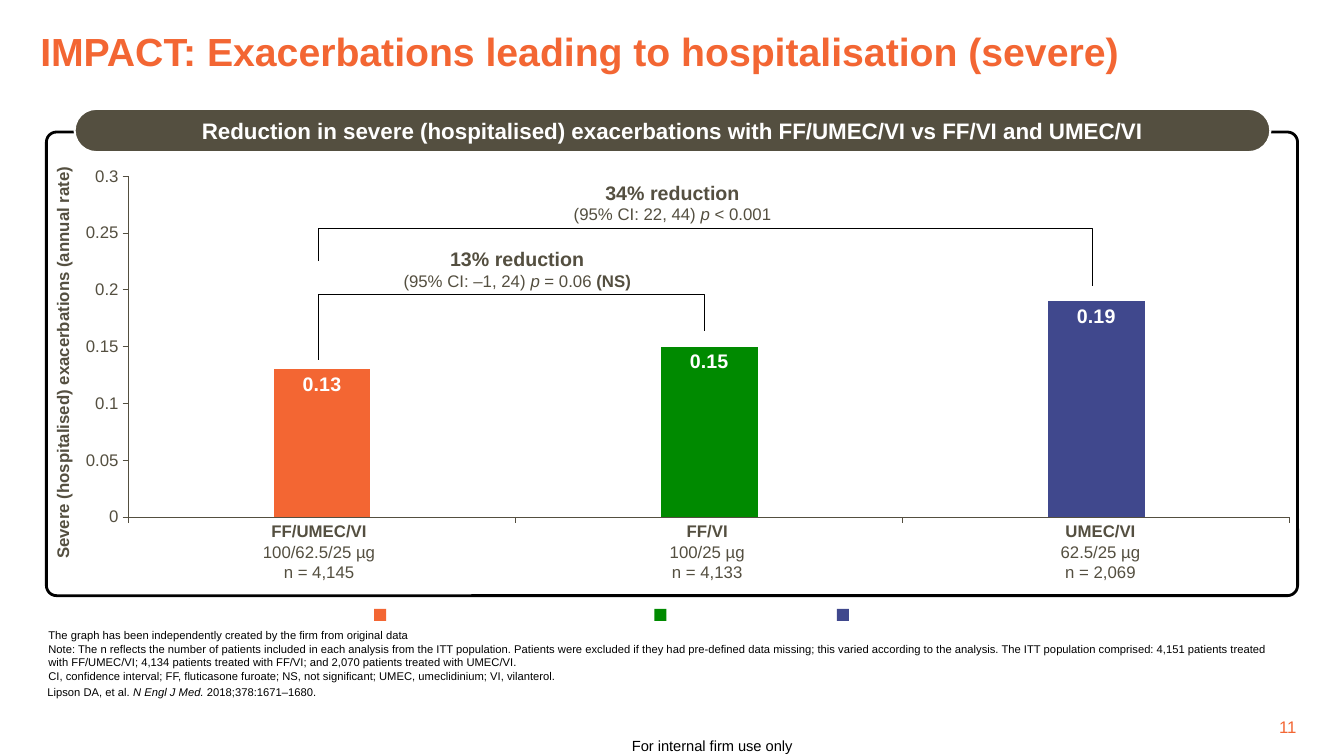
from dataclasses import dataclass

from lxml import etree
from pptx import Presentation
from pptx.chart.data import CategoryChartData
from pptx.dml.color import RGBColor as RGB
from pptx.enum.chart import XL_CHART_TYPE as ChartType
from pptx.enum.chart import XL_LABEL_POSITION as LabelPos
from pptx.enum.chart import XL_TICK_LABEL_POSITION as TickLabels
from pptx.enum.chart import XL_TICK_MARK as Tick
from pptx.enum.shapes import MSO_SHAPE as Shape
from pptx.enum.text import MSO_ANCHOR as Anchor
from pptx.enum.text import PP_ALIGN as Align
from pptx.oxml.ns import qn
from pptx.util import Inches, Pt


@dataclass(frozen=True)
class Theme:
    font: str = "Arial"
    orange: RGB = RGB(0xF3, 0x66, 0x33)
    green: RGB = RGB(0x00, 0x8A, 0x00)
    blue: RGB = RGB(0x40, 0x48, 0x8D)
    brown: RGB = RGB(0x54, 0x4F, 0x40)
    black: RGB = RGB(0, 0, 0)
    white: RGB = RGB(255, 255, 255)
    title: float = 28
    banner: float = 16
    strong: float = 14
    body: float = 12
    footer: float = 10.5
    note: float = 8


T = Theme()

# Treatment arms: name, dose, patients, rate, colour, label box, legend left
ARMS = [
    ("FF/UMEC/VI", "100/62.5/25 µg", "n = 4,145", 0.13, T.orange, (2.4, 1.53), 3.71),
    ("FF/VI", "100/25 µg", "n = 4,133", 0.15, T.green, (6.21, 1.61), 6.49),
    ("UMEC/VI", "62.5/25 µg", "n = 2,069", 0.19, T.blue, (10.11, 1.61), 8.3),
]

NOTES = [
    "The graph has been independently created by the firm from original data",
    "Note: The n reflects the number of patients included in each analysis from the ITT "
    "population. Patients were excluded if they had pre-defined data missing; this varied "
    "according to the analysis. The ITT population comprised: 4,151 patients treated with "
    "FF/UMEC/VI; 4,134 patients treated with FF/VI; and 2,070 patients treated with UMEC/VI.",
    "CI, confidence interval; FF, fluticasone furoate; NS, not significant; UMEC, "
    "umeclidinium; VI, vilanterol.",
]


def fill_text(tf, paragraphs, color, align=Align.LEFT, anchor=Anchor.TOP):
    """Each paragraph is (size, runs); each run is (text, style) with style b, i or empty."""
    tf.word_wrap = True
    tf.vertical_anchor = anchor
    for i, (size, runs) in enumerate(paragraphs):
        p = tf.add_paragraph() if i else tf.paragraphs[0]
        p.alignment = align
        p.font.name = T.font
        p.font.size = Pt(size)
        p.font.color.rgb = color
        for text, style in runs:
            r = p.add_run()
            r.text = text
            r.font.bold = "b" in style
            r.font.italic = "i" in style


def add_text(s, box, paragraphs, color=T.brown, align=Align.CENTER, anchor=Anchor.TOP):
    sp = s.shapes.add_textbox(*map(Inches, box))
    tf = sp.text_frame
    tf.margin_left = tf.margin_right = tf.margin_top = tf.margin_bottom = 0
    fill_text(tf, paragraphs, color, align, anchor)
    return sp


def add_box(s, kind, box, fill=None, line=None, width=1, radius=None):
    sp = s.shapes.add_shape(kind, *map(Inches, box))
    sp.shadow.inherit = False
    if radius is not None:
        sp.adjustments[0] = radius
    if fill is None:
        sp.fill.background()
    else:
        sp.fill.solid()
        sp.fill.fore_color.rgb = fill
    if line is None:
        sp.line.fill.background()
    else:
        sp.line.color.rgb = line
        sp.line.width = Pt(width)
    return sp


def add_bracket(s, left, right, top, left_end, right_end):
    points = [(left, left_end), (left, top), (right, top), (right, right_end)]
    start, *rest = [(Inches(x), Inches(y)) for x, y in points]
    builder = s.shapes.build_freeform(*start)
    builder.add_line_segments(rest, close=False)
    sp = builder.convert_to_shape()
    sp.shadow.inherit = False
    sp.fill.background()
    sp.line.color.rgb = T.black
    sp.line.width = Pt(0.75)


def style_font(font, size, color, bold=False):
    font.name = T.font
    font.size = Pt(size)
    font.color.rgb = color
    font.bold = bold


def set_plot_area(chart, x, y, w, h):
    plot_area = chart._chartSpace.chart.plotArea
    for old in plot_area.findall(qn("c:layout")):
        plot_area.remove(old)
    layout = etree.Element(qn("c:layout"))
    manual = etree.SubElement(layout, qn("c:manualLayout"))
    values = dict(layoutTarget="inner", xMode="edge", yMode="edge", x=x, y=y, w=w, h=h)
    for tag, val in values.items():
        etree.SubElement(manual, qn(f"c:{tag}")).set("val", str(val))
    plot_area.insert(0, layout)


def add_rate_chart(s, box):
    data = CategoryChartData()
    data.categories = ["1", "2", "3"]
    data.add_series("Series 1", [arm[3] for arm in ARMS])
    frame = s.shapes.add_chart(ChartType.COLUMN_CLUSTERED, *map(Inches, box), data)
    chart = frame.chart
    chart.has_legend = chart.has_title = False
    style_font(chart.font, T.body, T.brown)
    set_plot_area(chart, 0.045, 0.034, 0.952, 0.88)

    # Axes
    for axis in (chart.category_axis, chart.value_axis):
        axis.has_major_gridlines = False
        axis.major_tick_mark = Tick.OUTSIDE
        axis.minor_tick_mark = Tick.NONE
        axis.format.line.color.rgb = T.brown
        axis.format.line.width = Pt(0.75)
        style_font(axis.tick_labels.font, T.body, T.brown)
    chart.category_axis.tick_label_position = TickLabels.NONE
    chart.value_axis.minimum_scale = 0
    chart.value_axis.maximum_scale = 0.3
    chart.value_axis.major_unit = 0.05

    # Columns and their labels
    plot = chart.plots[0]
    plot.gap_width = 300
    plot.overlap = 67
    plot.vary_by_categories = False
    series = plot.series[0]
    for i, arm in enumerate(ARMS):
        fill = series.points[i].format.fill
        fill.solid()
        fill.fore_color.rgb = arm[4]
    labels = series.data_labels
    labels.show_value = True
    labels.position = LabelPos.INSIDE_END
    style_font(labels.font, T.strong, T.white, bold=True)


def add_reduction(s, left, top, headline, detail):
    paragraphs = [(T.strong, [(headline, "b")]), (T.body, detail)]
    add_text(s, (left, top, 2.56, 0.44), paragraphs)


def main():
    prs = Presentation()
    prs.slide_width, prs.slide_height = Inches(13.33), Inches(7.5)
    s = prs.slides.add_slide(prs.slide_layouts[6])

    # Title, footer and page number
    title = "IMPACT: Exacerbations leading to hospitalisation (severe)"
    add_text(s, (0.4, 0.27, 12.53, 0.47), [(T.title, [(title, "b")])],
             T.orange, Align.LEFT, Anchor.BOTTOM)
    add_text(s, (3.73, 7.31, 6.67, 0.19),
             [(T.footer, [("For internal firm use only", "")])], T.black)
    add_text(s, (12.3, 6.91, 0.56, 0.4), [(T.body, [("11", "")])],
             T.orange, Align.RIGHT, Anchor.BOTTOM)

    # Frame and banner
    add_box(s, Shape.ROUNDED_RECTANGLE, (0.46, 1.31, 12.41, 4.6),
            line=T.black, width=2, radius=0.022)
    banner = add_box(s, Shape.ROUNDED_RECTANGLE, (0.74, 1.08, 11.86, 0.43),
                     T.brown, T.white, 1.5, 0.5)
    heading = "Reduction in severe (hospitalised) exacerbations with FF/UMEC/VI vs FF/VI and UMEC/VI"
    fill_text(banner.text_frame, [(T.banner, [(heading, "b")])],
              T.white, Align.CENTER, Anchor.MIDDLE)

    # Chart with axis title, arm labels and legend keys
    add_rate_chart(s, (0.73, 1.62, 12.1, 3.84))
    axis_title = "Severe (hospitalised) exacerbations (annual rate)"
    add_text(s, (-1.38, 3.45, 4, 0.3), [(T.body, [(axis_title, "b")])],
             anchor=Anchor.MIDDLE).rotation = 270
    for name, dose, patients, _, color, (left, width), key_left in ARMS:
        lines = [(name, "b"), (dose, ""), (patients, "")]
        add_text(s, (left, 5.17, width, 0.61), [(T.body, [line]) for line in lines])
        add_box(s, Shape.RECTANGLE, (key_left, 6.04, 0.12, 0.12), color)

    # Comparisons
    add_reduction(s, 5.39, 1.79, "34% reduction",
                  [("(95% CI: 22, 44) ", ""), ("p", "i"), (" < 0.001", "")])
    add_reduction(s, 3.85, 2.45, "13% reduction",
                  [("(95% CI: –1, 24) ", ""), ("p", "i"), (" = 0.06 ", ""), ("(NS)", "b")])
    add_bracket(s, 3.16, 6.99, 2.92, 3.57, 3.28)
    add_bracket(s, 3.16, 10.84, 2.27, 2.59, 2.84)

    # Notes and reference
    add_text(s, (0.48, 6.56, 12.3, 0.21), [(T.note, [(note, "")]) for note in NOTES],
             T.black, Align.LEFT, Anchor.BOTTOM)
    reference = [("Lipson DA, et al. ", ""), ("N Engl J Med. ", "i"), ("2018;378:1671–1680.", "")]
    add_text(s, (0.47, 6.8, 11.76, 0.51), [(T.note, reference)], T.black, Align.LEFT)

    prs.save("out.pptx")


if __name__ == "__main__":
    main()
